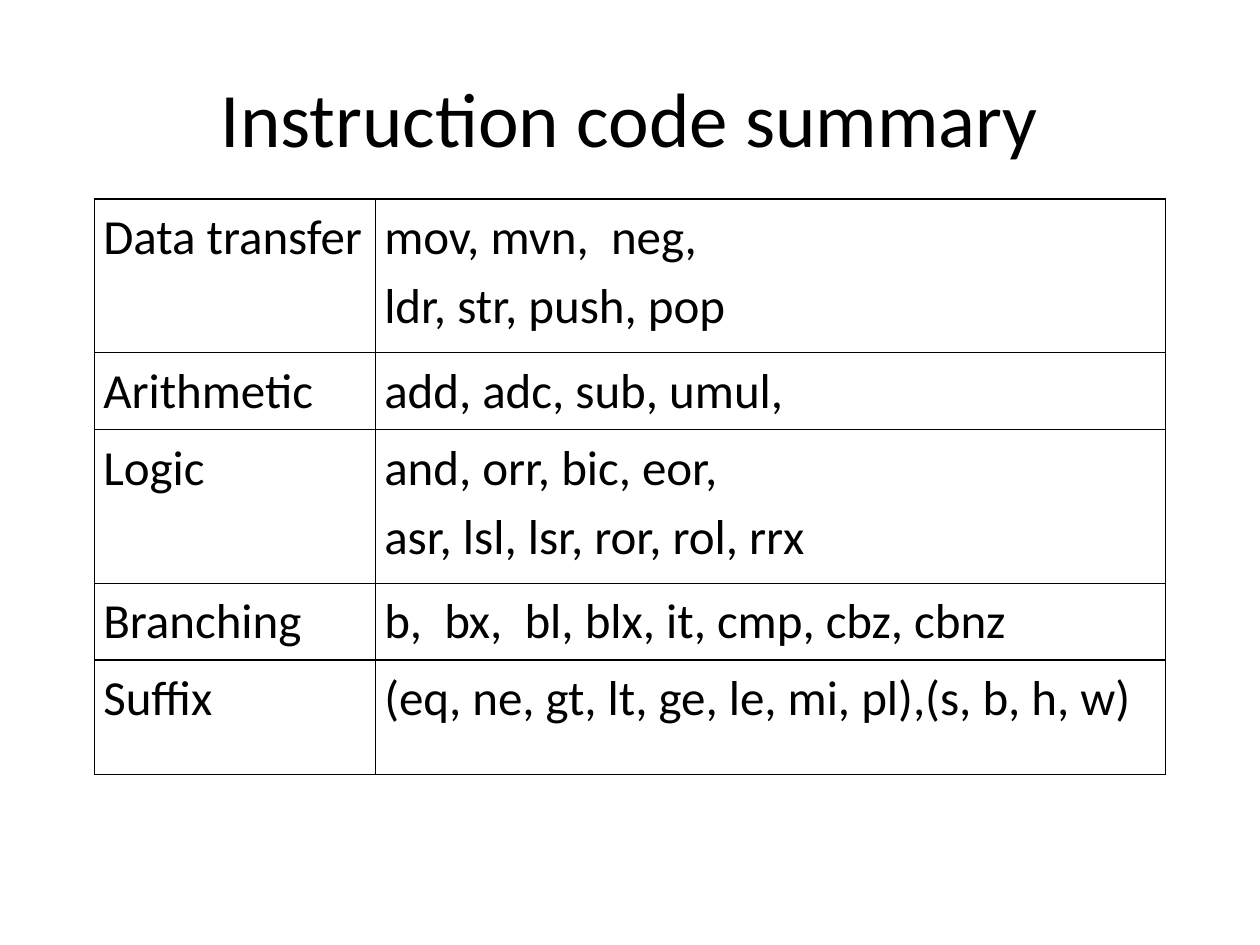
from dataclasses import dataclass

from lxml import etree
from pptx import Presentation
from pptx.dml.color import RGBColor
from pptx.enum.text import MSO_ANCHOR, PP_ALIGN
from pptx.oxml.ns import qn
from pptx.util import Inches, Pt

MIDDLE, TOP = MSO_ANCHOR.MIDDLE, MSO_ANCHOR.TOP
CENTER, LEFT = PP_ALIGN.CENTER, PP_ALIGN.LEFT


@dataclass(frozen=True)
class Theme:
    """Colours, font and sizes of the slide."""
    ink: str = "000000"
    paper: str = "FFFFFF"
    font: str = "Calibri"
    title: int = 44
    body: int = 28
    rule: int = 1
    space: float = 1.15


@dataclass(frozen=True)
class Group:
    """One table row: an instruction group and its codes."""
    name: str
    codes: tuple[str, ...]
    height: float


THEME = Theme()
WIDTHS = (2.23, 6.27)
GROUPS = (
    Group("Data transfer", ("mov, mvn,  neg, ", "ldr, str, push, pop"), 1.22),
    Group("Arithmetic", ("add, adc, sub, umul,",), 0.61),
    Group("Logic", ("and, orr, bic, eor, ", "asr, lsl, lsr, ror, rol, rrx"), 1.22),
    Group("Branching", ("b,  bx,  bl, blx, it, cmp, cbz, cbnz",), 0.61),
    Group("Suffix", ("(eq, ne, gt, lt, ge, le, mi, pl),(s, b, h, w)",), 0.91),
)


def assign(item, values: dict) -> None:
    """Set each named attribute of an item."""
    for name, value in values.items():
        setattr(item, name, value)


def write(frame, lines: tuple[str, ...], size: int, align, space: float) -> None:
    """Fill a text frame with one paragraph per line."""
    frame.word_wrap = True
    for index, line in enumerate(lines):
        para = frame.paragraphs[0] if index == 0 else frame.add_paragraph()
        assign(para, {"alignment": align, "line_spacing": space})
        run = para.add_run()
        run.text = line
        assign(run.font, {"name": THEME.font, "size": Pt(size), "bold": False})
        run.font.color.rgb = RGBColor.from_string(THEME.ink)


def border(cell) -> None:
    """Rule all four sides of a cell."""
    props = cell._tc.get_or_add_tcPr()
    for index, side in enumerate(("lnL", "lnR", "lnT", "lnB")):
        line = etree.Element(qn(f"a:{side}"), w=str(Pt(THEME.rule)))
        fill = etree.SubElement(line, qn("a:solidFill"))
        etree.SubElement(fill, qn("a:srgbClr"), val=THEME.ink)
        props.insert(index, line)


def add_title(slide, text: str) -> None:
    """Place the centred slide title."""
    box = slide.shapes.add_textbox(Inches(0.5), Inches(0.3), Inches(9), Inches(1.25))
    box.text_frame.vertical_anchor = MIDDLE
    write(box.text_frame, (text,), THEME.title, CENTER, 1.0)


def add_codes(slide) -> None:
    """Draw the table of instruction groups."""
    height = sum(group.height for group in GROUPS)
    table = slide.shapes.add_table(
        len(GROUPS), len(WIDTHS), Inches(0.75), Inches(1.58),
        Inches(sum(WIDTHS)), Inches(height)).table
    assign(table, {"first_row": False, "horz_banding": False})
    for column, width in zip(table.columns, WIDTHS):
        column.width = Inches(width)
    look = {"margin_left": Inches(0.07), "margin_right": Inches(0.07),
            "margin_top": 0, "margin_bottom": 0, "vertical_anchor": TOP}
    for row, group in zip(table.rows, GROUPS):
        row.height = Inches(group.height)
        for cell, lines in zip(row.cells, ((group.name,), group.codes)):
            assign(cell, look)
            cell.fill.solid()
            cell.fill.fore_color.rgb = RGBColor.from_string(THEME.paper)
            border(cell)
            write(cell.text_frame, lines, THEME.body, LEFT, THEME.space)


def main() -> None:
    """Build and save the slide."""
    deck = Presentation()
    assign(deck, {"slide_width": Inches(10), "slide_height": Inches(7.5)})
    slide = deck.slides.add_slide(deck.slide_layouts[6])
    add_title(slide, "Instruction code summary")
    add_codes(slide)
    deck.save("out.pptx")


main()
